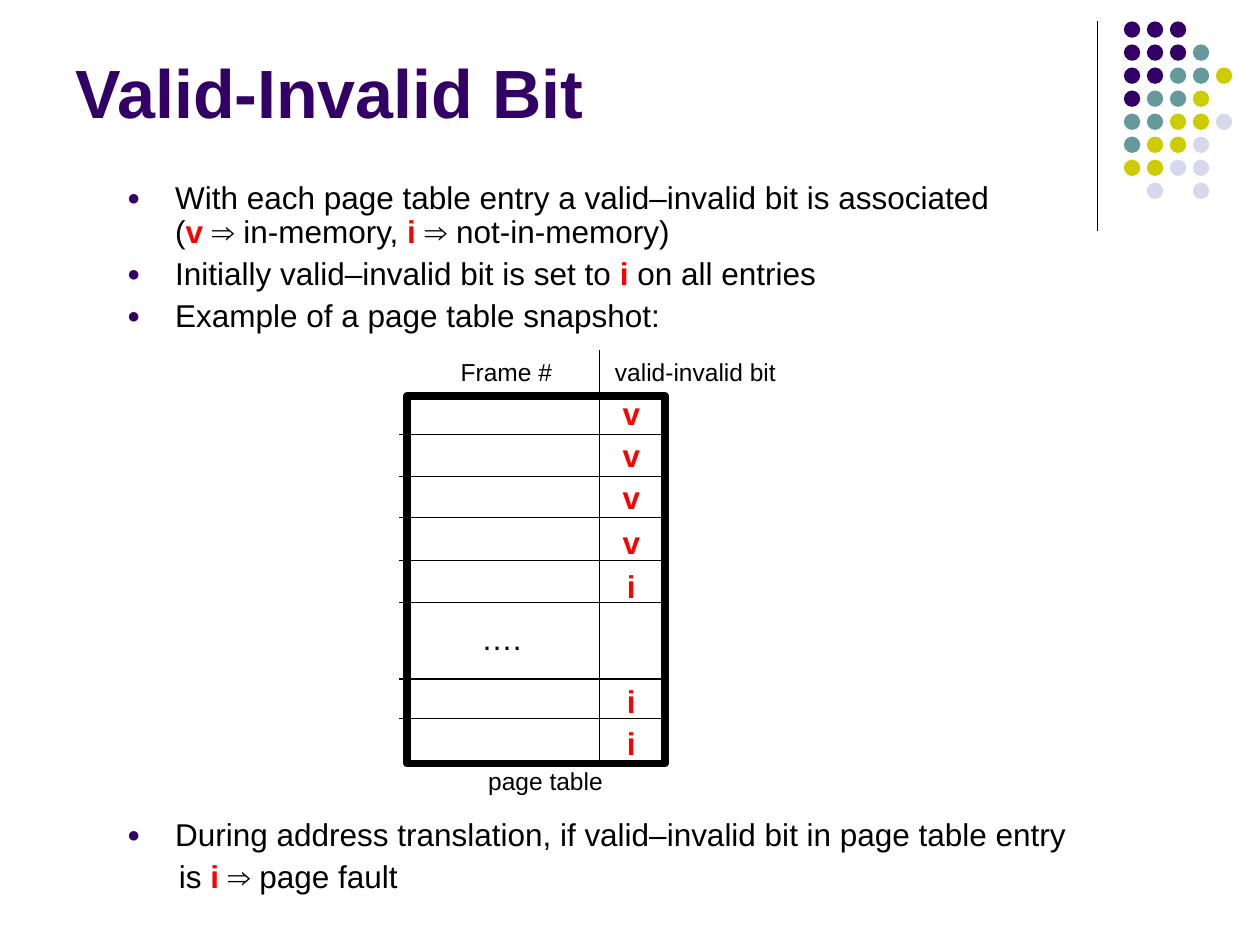
from dataclasses import dataclass

from lxml import etree
from pptx import Presentation
from pptx.dml.color import RGBColor
from pptx.enum.shapes import MSO_CONNECTOR, MSO_SHAPE
from pptx.enum.text import MSO_ANCHOR, MSO_AUTO_SIZE, PP_ALIGN
from pptx.oxml.ns import qn
from pptx.util import Inches, Pt

RECT, OVAL = MSO_SHAPE.RECTANGLE, MSO_SHAPE.OVAL
STRAIGHT = MSO_CONNECTOR.STRAIGHT
TOP, MIDDLE, BOTTOM = MSO_ANCHOR.TOP, MSO_ANCHOR.MIDDLE, MSO_ANCHOR.BOTTOM
LEFT, CENTER = PP_ALIGN.LEFT, PP_ALIGN.CENTER
NO_FIT = MSO_AUTO_SIZE.NONE


@dataclass(frozen=True)
class Theme:
    font: str = "Arial"
    black: str = "000000"
    white: str = "FFFFFF"
    red: str = "FF0000"
    plum: str = "330066"
    teal: str = "669999"
    lime: str = "CCCC00"
    pale: str = "D8D8EC"
    title: float = 39
    body: float = 18
    label: float = 14
    thin: float = 0.75
    thick: float = 4.5


@dataclass(frozen=True)
class Box:
    left: float
    top: float
    width: float
    height: float


@dataclass(frozen=True)
class Run:
    text: str
    flag: bool = False


@dataclass(frozen=True)
class Point:
    runs: tuple[Run, ...]
    before: float = 4.5
    bullet: bool = True


@dataclass(frozen=True)
class Label:
    text: str
    mid_x: float
    mid_y: float
    size: float
    color: str
    bold: bool = False


THEME = Theme()

POINTS = (
    Point((
        Run("With each page table entry a valid–invalid bit is associated\n("),
        Run("v ", True), Run("⇒ in-memory, "),
        Run("i ", True), Run("⇒ not-in-memory)"),
    ), before=0),
    Point((
        Run("Initially valid–invalid bit is set to"),
        Run(" i ", True), Run("on all entries"),
    )),
    Point((Run("Example of a page table snapshot:"),)),
    Point((
        Run("During address translation, if valid–invalid bit in page table entry"),
    ), before=277),
    Point((Run("is"), Run(" i ", True), Run("⇒ page fault")), bullet=False),
)

DOTS = ("PPP", "PPPT", "PPTTL", "PTTL", "TTLLW", "TLLW", "LLWW", " W W")
DOT_FILLS = {"P": THEME.plum, "T": THEME.teal, "L": THEME.lime, "W": THEME.pale}

ROW_LINES = (3.45, 3.78, 4.11, 4.45, 4.78, 5.39, 5.7)
BITS = (("v", 3.28), ("v", 3.61), ("v", 3.94), ("v", 4.3),
        ("i", 4.65), ("i", 5.56), ("i", 5.9))
LABELS = tuple(
    Label(bit, 5.01, y, THEME.body, THEME.red, True) for bit, y in BITS
) + (
    Label("….", 3.98, 5.06, THEME.body, THEME.black),
    Label("Frame #", 4.02, 2.95, THEME.label, THEME.black),
    Label("valid-invalid bit", 5.52, 2.95, THEME.label, THEME.black),
    Label("page table", 4.33, 6.2, THEME.label, THEME.black),
)


def place(shape, box: Box) -> None:
    shape.left, shape.top = Inches(box.left), Inches(box.top)
    shape.width, shape.height = Inches(box.width), Inches(box.height)


def add_run(para, text: str, size: float, color: str, bold: bool) -> None:
    for index, part in enumerate(text.split("\n")):
        if index:
            para.add_line_break()
        run = para.add_run()
        run.text = part
        run.font.name = THEME.font
        run.font.size = Pt(size)
        run.font.bold = bold
        run.font.color.rgb = RGBColor.from_string(color)


def set_bullet(para, shown: bool) -> None:
    props = para._p.get_or_add_pPr()
    props.set("marL", str(Inches(0.38 if shown else 0.41)))
    props.set("indent", str(Inches(-0.38 if shown else 0)))
    if not shown:
        etree.SubElement(props, qn("a:buNone"))
        return
    tint = etree.SubElement(props, qn("a:buClr"))
    etree.SubElement(tint, qn("a:srgbClr"), val=THEME.plum)
    etree.SubElement(props, qn("a:buSzPct"), val="70000")
    etree.SubElement(props, qn("a:buFont"), typeface=THEME.font)
    etree.SubElement(props, qn("a:buChar"), char="●")


def add_title(slide) -> None:
    title = slide.shapes.title
    place(title, Box(0.5, 0.22, 8.25, 0.88))
    frame = title.text_frame
    frame.auto_size = NO_FIT
    frame.vertical_anchor = BOTTOM
    para = frame.paragraphs[0]
    para.alignment = LEFT
    add_run(para, "Valid-Invalid Bit", THEME.title, THEME.plum, True)


def add_points(slide) -> None:
    body = slide.placeholders[1]
    place(body, Box(0.91, 1.4, 7.92, 6.25))
    frame = body.text_frame
    frame.auto_size = NO_FIT
    frame.vertical_anchor = TOP
    for index, point in enumerate(POINTS):
        para = frame.add_paragraph() if index else frame.paragraphs[0]
        set_bullet(para, point.bullet)
        para.line_spacing = 0.9
        para.space_before = Pt(point.before)
        for run in point.runs:
            color = THEME.red if run.flag else THEME.black
            add_run(para, run.text, THEME.body, color, run.flag)


def add_line(slide, x1: float, y1: float, x2: float, y2: float) -> None:
    line = slide.shapes.add_connector(
        STRAIGHT, Inches(x1), Inches(y1), Inches(x2), Inches(y2))
    line.line.color.rgb = RGBColor.from_string(THEME.black)
    line.line.width = Pt(THEME.thin)
    etree.SubElement(line._element.spPr, qn("a:effectLst"))


def add_form(slide, kind, box: Box, fill: str):
    shape = slide.shapes.add_shape(kind, 0, 0, 0, 0)
    place(shape, box)
    shape.shadow.inherit = False
    shape.fill.solid()
    shape.fill.fore_color.rgb = RGBColor.from_string(fill)
    shape.line.fill.background()
    return shape


def add_dots(slide) -> None:
    add_line(slide, 8.71, 0.17, 8.71, 1.83)
    step_x, step_y = 0.73 / 4, 1.28 / 7
    for row, marks in enumerate(DOTS):
        for col, mark in enumerate(marks):
            if mark in DOT_FILLS:
                box = Box(8.92 + col * step_x, 0.17 + row * step_y, 0.13, 0.13)
                add_form(slide, OVAL, box, DOT_FILLS[mark])


def add_label(slide, label: Label) -> None:
    width, height = (1.6, 0.34) if label.size == THEME.label else (0.52, 0.4)
    text = slide.shapes.add_textbox(0, 0, 0, 0)
    place(text, Box(label.mid_x - width / 2, label.mid_y - height / 2, width, height))
    frame = text.text_frame
    frame.word_wrap = False
    frame.vertical_anchor = MIDDLE
    para = frame.paragraphs[0]
    para.alignment = CENTER
    add_run(para, label.text, label.size, label.color, label.bold)


def add_grid(slide) -> None:
    frame = add_form(slide, RECT, Box(3.23, 3.14, 2.05, 2.92), THEME.white)
    frame.line.color.rgb = RGBColor.from_string(THEME.black)
    frame.line.width = Pt(THEME.thick)
    for y in ROW_LINES:
        add_line(slide, 3.17, y, 5.26, y)
    add_line(slide, 4.76, 2.78, 4.76, 6.03)
    for label in LABELS:
        add_label(slide, label)


def main() -> None:
    deck = Presentation()
    deck.slide_width, deck.slide_height = Inches(10), Inches(7.5)
    slide = deck.slides.add_slide(deck.slide_layouts[1])
    add_dots(slide)
    add_title(slide)
    add_points(slide)
    add_grid(slide)
    deck.save("out.pptx")


if __name__ == "__main__":
    main()
